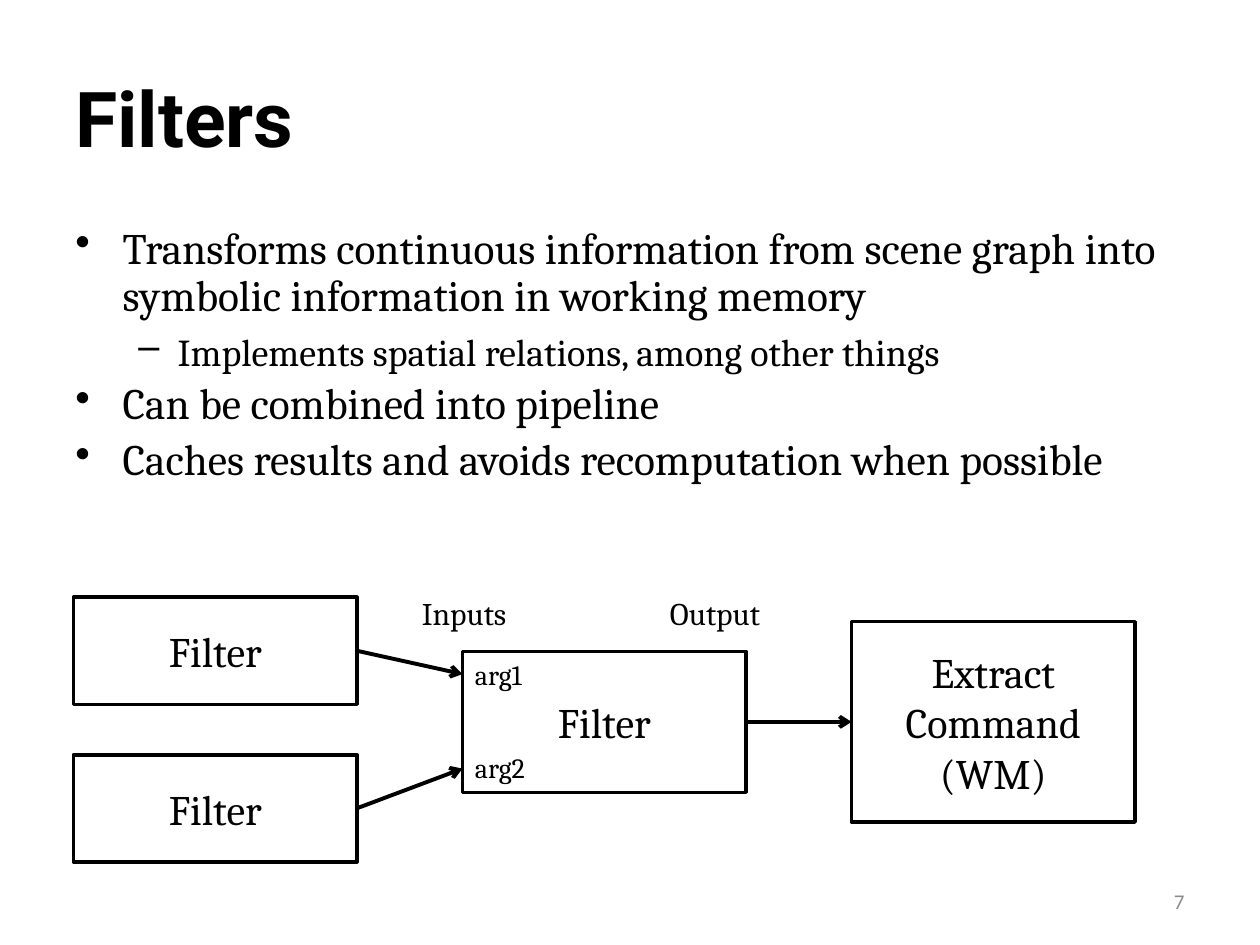
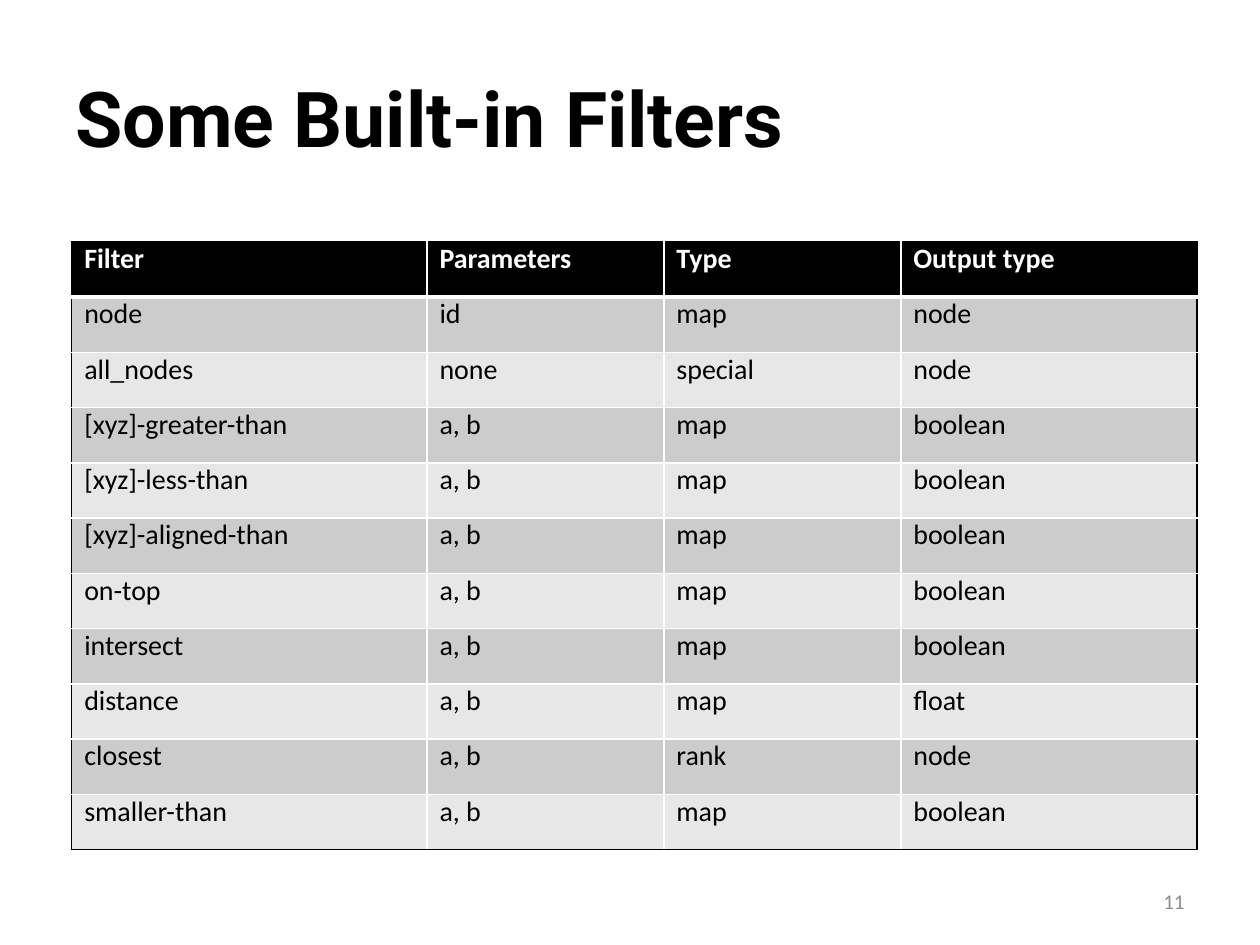
from lxml import etree
from pptx import Presentation
from pptx.dml.color import RGBColor
from pptx.enum import shapes, text
from pptx.oxml import ns
from pptx.util import Pt

BLACK, WHITE, GREY = "000000", "FFFFFF", "8C8C8C"
BANDS = ("CCCCCC", "E7E7E7")
TITLE_FONT, BODY_FONT, TABLE_FONT = "Roboto", "Cambria", "Calibri"
RIGHT, CENTER = text.PP_ALIGN.RIGHT, text.PP_ALIGN.CENTER
TOP, MIDDLE = text.MSO_ANCHOR.TOP, text.MSO_ANCHOR.MIDDLE

BOX_WIDTH, BOX_STEP, BOX_LEFT = 162, 222.3, 42

BULLETS = [
    (0, "Transforms continuous information from scene graph into symbolic information in working memory"),
    (1, "Implements spatial relations, among other things"),
    (0, "Can be combined into pipeline"),
    (0, "Caches results and avoids recomputation when possible"),
]
LEVELS = [
    dict(mark="•", size=24.8, margin=27, hang=27, spacing=0.9),
    dict(mark="–", size=21.7, margin=58.5, hang=22.5, spacing=1.0),
]

COLUMN_WIDTHS = (203, 135.4, 135.4, 169.2)
ROW_HEIGHT = 31.6
FILTER_ROWS = [
    ("Filter", "Parameters", "Type", "Output type"),
    ("node", "id", "map", "node"),
    ("all_nodes", "none", "special", "node"),
    ("[xyz]-greater-than", "a, b", "map", "boolean"),
    ("[xyz]-less-than", "a, b", "map", "boolean"),
    ("[xyz]-aligned-than", "a, b", "map", "boolean"),
    ("on-top", "a, b", "map", "boolean"),
    ("intersect", "a, b", "map", "boolean"),
    ("distance", "a, b", "map", "float"),
    ("closest", "a, b", "rank", "node"),
    ("smaller-than", "a, b", "map", "boolean"),
]


def color(hex_code):
    return RGBColor.from_string(hex_code)


def sub(parent, tag, **attributes):
    return etree.SubElement(parent, ns.qn(tag), attributes)


def write(paragraph, words, size=24, font=BODY_FONT, ink=BLACK, bold=False, align=None):
    run = paragraph.add_run()
    run.text = words
    run.font.size = Pt(size)
    run.font.name = font
    run.font.bold = bold
    run.font.color.rgb = color(ink)
    paragraph.alignment = align


def add_frame(slide, left, top, width, height, anchor=TOP, wrap=True):
    frame = slide.shapes.add_textbox(Pt(left), Pt(top), Pt(width), Pt(height)).text_frame
    frame.word_wrap = wrap
    frame.vertical_anchor = anchor
    return frame


def add_page(deck, title, number):
    slide = deck.slides.add_slide(deck.slide_layouts[6])
    heading = add_frame(slide, 36, 21.6, 648, 90, MIDDLE)
    write(heading.paragraphs[0], title, size=44, font=TITLE_FONT, bold=True)
    footer = add_frame(slide, 516.2, 500.4, 167.8, 28.8, MIDDLE)
    write(footer.paragraphs[0], number, size=12, font=TABLE_FONT, ink=GREY, align=RIGHT)
    return slide


def add_bullets(slide):
    frame = add_frame(slide, 36, 126, 648, 192)
    for index, (depth, words) in enumerate(BULLETS):
        level = LEVELS[depth]
        paragraph = frame.add_paragraph() if index else frame.paragraphs[0]
        paragraph.level = depth
        properties = paragraph._p.get_or_add_pPr()
        properties.set("marL", str(Pt(level["margin"])))
        properties.set("indent", str(-Pt(level["hang"])))
        sub(properties, "a:buChar", char=level["mark"])
        paragraph.line_spacing = level["spacing"]
        paragraph.space_before = Pt(0.2 * level["size"] if index else 0)
        write(paragraph, words, size=level["size"])


def add_stage(slide, words, column, middle, height):
    stage = slide.shapes.add_shape(
        shapes.MSO_SHAPE.RECTANGLE, Pt(BOX_LEFT + column * BOX_STEP),
        Pt(middle - height / 2), Pt(BOX_WIDTH), Pt(height))
    stage.shadow.inherit = False
    stage.fill.solid()
    stage.fill.fore_color.rgb = color(WHITE)
    stage.line.color.rgb = color(BLACK)
    stage.line.width = Pt(2)
    stage.text_frame.word_wrap = True
    stage.text_frame.vertical_anchor = MIDDLE
    write(stage.text_frame.paragraphs[0], words, align=CENTER)
    return stage


def add_flow(slide, source, target, arrival=None):
    middle = target.top + target.height // 2
    flow = slide.shapes.add_connector(
        shapes.MSO_CONNECTOR.STRAIGHT, source.left + source.width,
        source.top + source.height // 2, target.left,
        Pt(arrival) if arrival else middle)
    flow.begin_connect(source, 3)
    if arrival is None:
        flow.end_connect(target, 1)
    flow.line.color.rgb = color(BLACK)
    flow.line.width = Pt(2.25)
    sub(flow.line._get_or_add_ln(), "a:tailEnd", type="arrow")
    sub(flow._element.spPr, "a:effectLst")


def add_label(slide, words, left, top, width, size):
    frame = add_frame(slide, left, top, width, 1.6 * size, wrap=False)
    write(frame.paragraphs[0], words, size=size)


def add_pipeline(slide):
    first = add_stage(slide, "Filter", 0, 371.9, 61.2)
    second = add_stage(slide, "Filter", 0, 461.9, 61.2)
    combining = add_stage(slide, "Filter", 1, 412.5, 80.6)
    extract = add_stage(slide, "Extract Command (WM)", 2, 412.5, 114.5)
    add_flow(slide, first, combining, 385.2)
    add_flow(slide, second, combining, 439.2)
    add_flow(slide, combining, extract)
    add_label(slide, "Inputs", 234, 336.2, 64.8, 18)
    add_label(slide, "Output", 375.8, 336.2, 69.1, 18)
    add_label(slide, "arg1", 264.3, 372.2, 46, 16)
    add_label(slide, "arg2", 264.3, 425.5, 46, 16)


def set_borders(cell, edges):
    properties = cell._tc.get_or_add_tcPr()
    for side, (ink, width) in edges.items():
        line = sub(properties, f"a:ln{side}", w=str(Pt(width)))
        sub(sub(line, "a:solidFill"), "a:srgbClr", val=ink)


def add_filter_table(slide):
    rows, columns = len(FILTER_ROWS), len(COLUMN_WIDTHS)
    table = slide.shapes.add_table(
        rows, columns, Pt(41), Pt(138.2),
        Pt(sum(COLUMN_WIDTHS)), Pt(rows * ROW_HEIGHT)).table
    for column, width in zip(table.columns, COLUMN_WIDTHS):
        column.width = Pt(width)
    inner, outer, header_rule = (WHITE, 1), (BLACK, 1), (WHITE, 3)
    for r, entries in enumerate(FILTER_ROWS):
        table.rows[r].height = Pt(ROW_HEIGHT)
        header = r == 0
        for c, words in enumerate(entries):
            cell = table.cell(r, c)
            set_borders(cell, {
                "L": outer if c == 0 else inner,
                "R": outer if c == columns - 1 else inner,
                "T": outer if header else header_rule if r == 1 else inner,
                "B": header_rule if header else outer if r == rows - 1 else inner,
            })
            cell.fill.solid()
            cell.fill.fore_color.rgb = color(BLACK if header else BANDS[(r - 1) % 2])
            cell.margin_top = cell.margin_bottom = 0
            write(cell.text_frame.paragraphs[0], words, size=16, font=TABLE_FONT,
                  ink=WHITE if header else BLACK, bold=header)


def main():
    deck = Presentation()
    deck.slide_width, deck.slide_height = Pt(720), Pt(540)
    filters = add_page(deck, "Filters", "7")
    add_bullets(filters)
    add_pipeline(filters)
    add_filter_table(add_page(deck, "Some Built-in Filters", "11"))
    deck.save("out.pptx")


if __name__ == "__main__":
    main()
